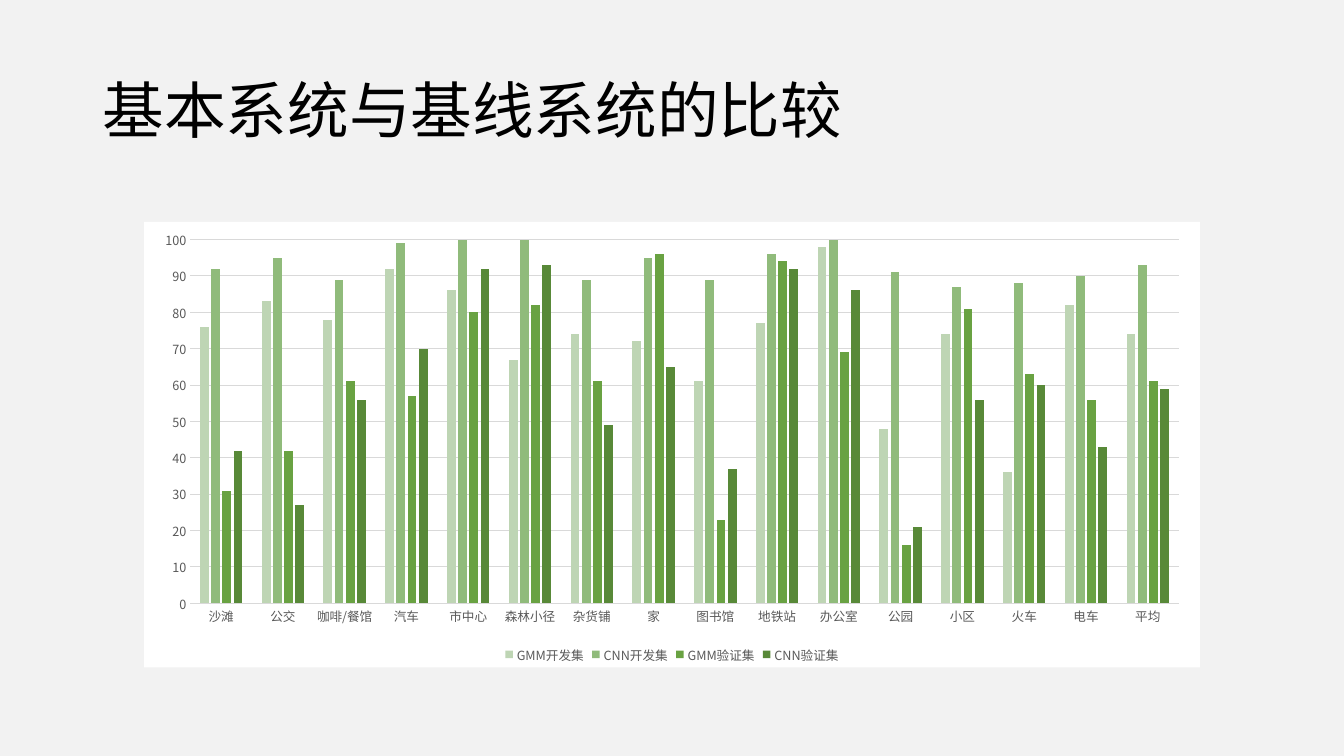
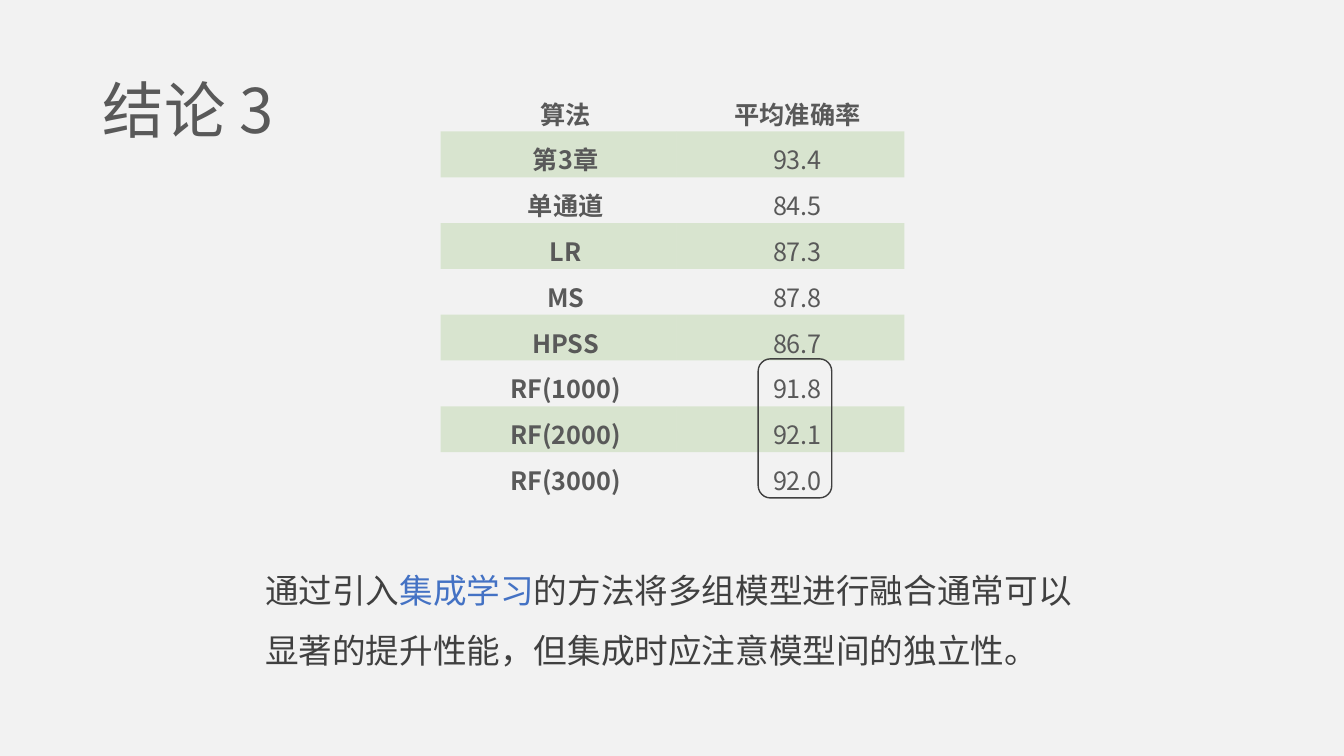
from dataclasses import dataclass

import pptx
import pptx.chart.data
import pptx.dml.color
import pptx.enum.chart
import pptx.enum.shapes
import pptx.enum.text
import pptx.oxml
import pptx.oxml.ns
import pptx.util
from pptx.util import Inches

qn = pptx.oxml.ns.qn
NAMESPACES = pptx.oxml.ns.nsdecls("a", "c")


@dataclass(frozen=True)
class Theme:
    font: str = "Noto Sans CJK SC"
    background: str = "F2F2F2"
    panel: str = "FFFFFF"
    black: str = "000000"
    dark: str = "404040"
    muted: str = "595959"
    grid: str = "D9D9D9"
    accent: str = "4472C4"
    band: str = "70AD47"
    band_opacity: int = 20
    series: tuple = ("BED5B4", "90BB7B", "69A242", "588938")
    title_size: int = 44
    body_size: int = 24
    table_size: int = 18
    chart_size: int = 9


THEME = Theme()

CATEGORIES = ["沙滩", "公交", "咖啡/餐馆", "汽车", "市中心", "森林小径", "杂货铺", "家",
              "图书馆", "地铁站", "办公室", "公园", "小区", "火车", "电车", "平均"]
ACCURACY = {
    "GMM开发集": [76, 83, 78, 92, 86, 67, 74, 72, 61, 77, 98, 48, 74, 36, 82, 74],
    "CNN开发集": [92, 95, 89, 99, 100, 100, 89, 95, 89, 96, 100, 91, 87, 88, 90, 93],
    "GMM验证集": [31, 42, 61, 57, 80, 82, 61, 96, 23, 94, 69, 16, 81, 63, 56, 61],
    "CNN验证集": [42, 27, 56, 70, 92, 93, 49, 65, 37, 92, 86, 21, 56, 60, 43, 59],
}
RESULTS = [("算法", "平均准确率"), ("第3章", "93.4"), ("单通道", "84.5"),
           ("LR", "87.3"), ("MS", "87.8"), ("HPSS", "86.7"),
           ("RF(1000)", "91.8"), ("RF(2000)", "92.1"), ("RF(3000)", "92.0")]
CONCLUSION = [("通过引入", THEME.dark), ("集成学习", THEME.accent),
              ("的方法将多组模型进行融合通常可以显著的提升性能，但集成时应注意模型间的独立性。",
               THEME.dark)]


def rgb(value):
    return pptx.dml.color.RGBColor.from_string(value)


def format_font(font, size, color, bold=False):
    font.name = THEME.font
    font.size = pptx.util.Pt(size)
    font.bold = bold
    font.color.rgb = rgb(color)


def use_east_asian_font(element):
    """Give Chinese characters the typeface that the Latin ones have."""
    for latin in list(element.iter(qn("a:latin"))):
        latin.addnext(pptx.oxml.parse_xml(
            f'<a:ea {NAMESPACES} typeface="{latin.get("typeface")}"/>'))


def add_span(para, text, size, color, bold=False):
    span = para.add_run()
    span.text = text
    format_font(span.font, size, color, bold)


def add_text(page, box, spans, size, line_spacing, anchor="TOP", grow=False):
    """Place one paragraph made of (text, color) spans."""
    shape = page.shapes.add_textbox(*map(Inches, box))
    frame = shape.text_frame
    frame.word_wrap = True
    frame.vertical_anchor = pptx.enum.text.MSO_ANCHOR[anchor]
    if grow:
        frame.auto_size = pptx.enum.text.MSO_AUTO_SIZE.SHAPE_TO_FIT_TEXT
    para = frame.paragraphs[0]
    para.line_spacing = line_spacing
    for text, color in spans:
        add_span(para, text, size, color)
    use_east_asian_font(shape.element)


def add_page(deck, title, title_width, title_color):
    page = deck.slides.add_slide(deck.slide_layouts[6])
    page.background.fill.solid()
    page.background.fill.fore_color.rgb = rgb(THEME.background)
    add_text(page, (0.92, 0.4, title_width, 1.45), [(title, title_color)],
             THEME.title_size, line_spacing=0.9, anchor="MIDDLE")
    return page


def format_line(line, color, width=0.75):
    line.color.rgb = rgb(color)
    line.width = pptx.util.Pt(width)


def format_axes(chart):
    for axis in (chart.category_axis, chart.value_axis):
        axis.major_tick_mark = pptx.enum.chart.XL_TICK_MARK.NONE
        axis.minor_tick_mark = pptx.enum.chart.XL_TICK_MARK.NONE
        format_font(axis.tick_labels.font, THEME.chart_size, THEME.muted)
    format_line(chart.category_axis.format.line, THEME.grid)
    values = chart.value_axis
    values.minimum_scale, values.maximum_scale, values.major_unit = 0, 100, 10
    values.format.line.fill.background()
    values.has_major_gridlines = True
    format_line(values.major_gridlines.format.line, THEME.grid)


def add_accuracy_chart(page, box):
    data = pptx.chart.data.CategoryChartData()
    data.categories = CATEGORIES
    for name, values in ACCURACY.items():
        data.add_series(name, values)
    chart = page.shapes.add_chart(pptx.enum.chart.XL_CHART_TYPE.COLUMN_CLUSTERED,
                                  *map(Inches, box), data).chart
    chart.has_title = False
    format_font(chart.font, 10, THEME.black)
    format_axes(chart)

    chart.has_legend = True
    chart.legend.position = pptx.enum.chart.XL_LEGEND_POSITION.BOTTOM
    chart.legend.include_in_layout = False
    format_font(chart.legend.font, THEME.chart_size, THEME.muted)

    plot = chart.plots[0]
    plot.gap_width, plot.overlap = 219, -27
    plot.vary_by_categories = False
    for series, color in zip(plot.series, THEME.series):
        series.format.fill.solid()
        series.format.fill.fore_color.rgb = rgb(color)

    chart.element.find(qn("c:chart")).addnext(pptx.oxml.parse_xml(
        f'<c:spPr {NAMESPACES}><a:solidFill><a:srgbClr val="{THEME.panel}"/></a:solidFill>'
        '<a:ln><a:noFill/></a:ln></c:spPr>'))
    use_east_asian_font(chart.element)


def fill_cell(cell, text, bold, banded):
    cell.margin_left = cell.margin_right = Inches(0.07)
    cell.margin_top = cell.margin_bottom = 0
    cell.vertical_anchor = pptx.enum.text.MSO_ANCHOR.MIDDLE
    para = cell.text_frame.paragraphs[0]
    para.alignment = pptx.enum.text.PP_ALIGN.CENTER
    para.line_spacing = 1.25
    properties = para._p.get_or_add_pPr()
    properties.set("marL", "0")
    properties.set("indent", str(Inches(0.14)))
    add_span(para, text, THEME.table_size, THEME.muted, bold)
    if not banded:
        cell.fill.background()
        return
    cell.fill.solid()
    cell.fill.fore_color.rgb = rgb(THEME.band)
    color = cell._tc.tcPr.find(f'{qn("a:solidFill")}/{qn("a:srgbClr")}')
    color.append(pptx.oxml.parse_xml(
        f'<a:alpha {NAMESPACES} val="{THEME.band_opacity * 1000}"/>'))


def add_results_table(page, box, widths):
    frame = page.shapes.add_table(len(RESULTS), len(widths), *map(Inches, box))
    table = frame.table
    table.first_row = table.horz_banding = False
    no_style_no_grid = "{2D5ABB26-0587-4C30-8999-92F81FD0307C}"
    next(frame.element.iter(qn("a:tableStyleId"))).text = no_style_no_grid
    for column, width in zip(table.columns, widths):
        column.width = Inches(width)
    for row, texts in enumerate(RESULTS):
        for column, text in enumerate(texts):
            fill_cell(table.cell(row, column), text,
                      bold=row == 0 or column == 0, banded=row % 2 == 1)
    use_east_asian_font(frame.element)


def add_highlight(page, box):
    shape = page.shapes.add_shape(
        pptx.enum.shapes.MSO_SHAPE.ROUNDED_RECTANGLE, *map(Inches, box))
    shape.shadow.inherit = False
    shape.fill.background()
    format_line(shape.line, THEME.dark, width=1)


def build_comparison(deck):
    page = add_page(deck, "基本系统与基线系统的比较", 11.5, THEME.black)
    add_accuracy_chart(page, (1.43, 2.2, 10.47, 4.42))


def build_conclusion(deck):
    page = add_page(deck, "结论 3", 2.28, THEME.muted)
    add_text(page, (2.53, 5.4, 8.28, 1.25), CONCLUSION, THEME.body_size,
             line_spacing=1.5, grow=True)
    add_results_table(page, (4.37, 0.85, 4.6, 4.09), widths=(2.34, 2.26))
    add_highlight(page, (7.52, 3.56, 0.73, 1.38))


def main():
    deck = pptx.Presentation()
    deck.slide_width, deck.slide_height = Inches(13.33), Inches(7.5)
    build_comparison(deck)
    build_conclusion(deck)
    deck.save("out.pptx")


if __name__ == "__main__":
    main()
